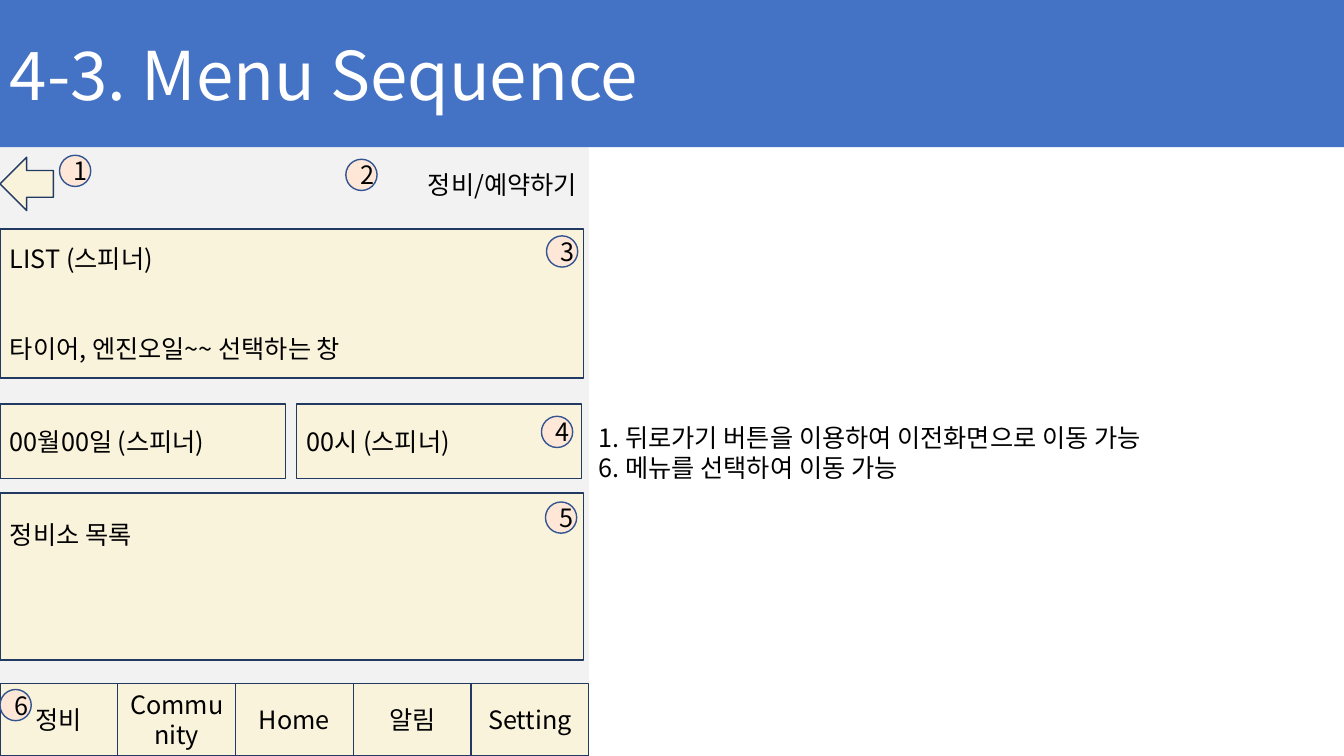
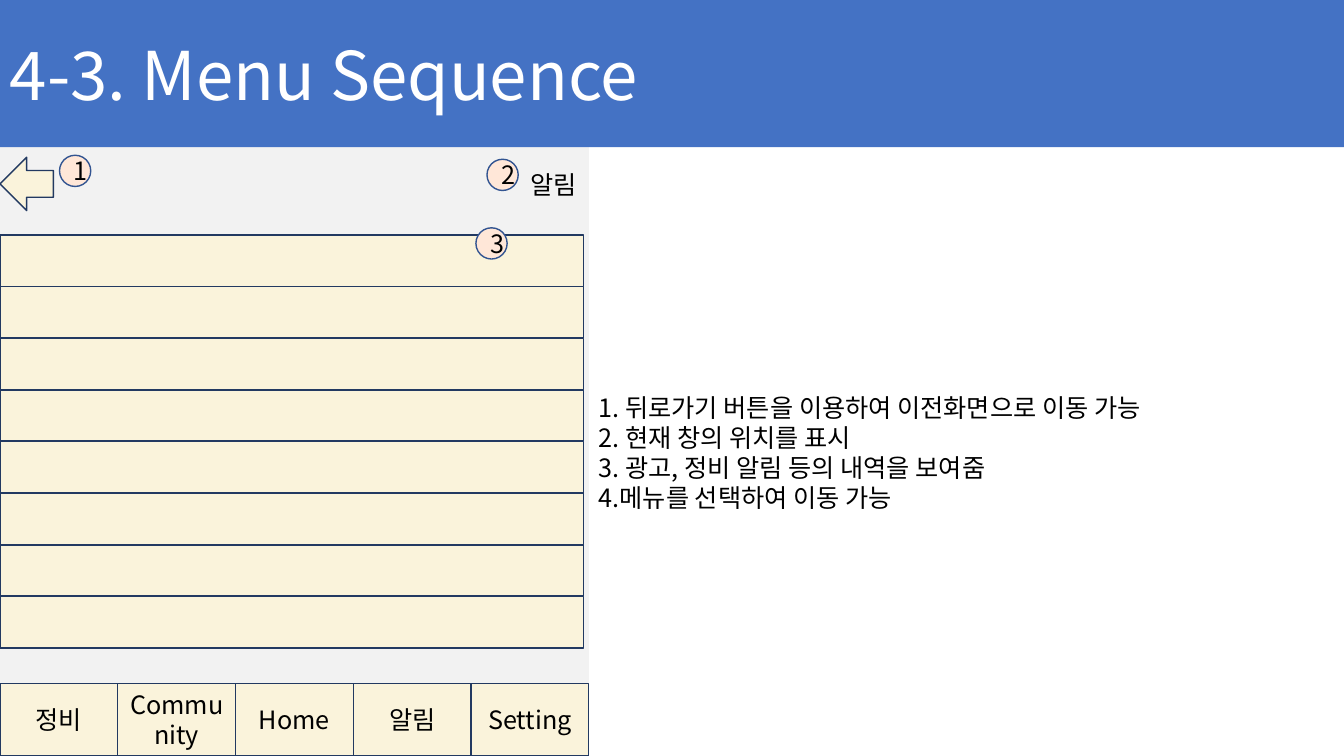
from lxml.etree import SubElement
from pptx import Presentation
from pptx.dml.color import RGBColor
from pptx.enum.shapes import MSO_SHAPE
from pptx.enum.text import MSO_ANCHOR, PP_ALIGN
from pptx.oxml.ns import qn
from pptx.util import Inches, Pt

COLORS = {
    "banner": "4472C4", "panel": "F2F2F2", "box": "FAF3DB", "outline": "223961",
    "badge": "FFE7D8", "badge_outline": "325491", "text": "000000", "title": "FFFFFF",
}
FONT = "Noto Sans CJK KR"
BODY = {"size": 18, "color": "text", "leading": 21.4}
TITLE_STYLE = {"size": 48, "color": "title", "leading": None}

WIDTH, HEIGHT = 13.33, 7.5
BANNER_HEIGHT = 1.46
PANEL_WIDTH = 5.84
LIST_WIDTH = 5.79
MENU_TOP = 6.78
BADGE_SIZE = 0.31

TITLE = "4-3. Menu Sequence"
MENU = ["정비", "Community", "Home", "알림", "Setting"]
BACK_NOTE = "1. 뒤로가기 버튼을 이용하여 이전화면으로 이동 가능"

ROW_COUNT, ROWS_TOP, ROW_HEIGHT = 8, 2.33, 0.51
ROW_PITCH = 4.1 / ROW_COUNT

# Boxes: (left, top, width, height), lines of text, format values
SCREENS = [
    {
        "heading": "정비/예약하기",
        "boxes": [
            ((0, 2.27, LIST_WIDTH, 1.48),
             ["LIST (스피너)", "타이어, 엔진오일~~ 선택하는 창"], {"gap": 43}),
            ((0, 4.01, 2.83, 0.74), ["00월00일 (스피너)"], {}),
            ((2.94, 4.01, 2.83, 0.74), ["00시 (스피너)"], {}),
            ((0, 4.89, LIST_WIDTH, 1.66), ["정비소 목록"],
             {"anchor": MSO_ANCHOR.TOP, "margin_top": 0.26}),
        ],
        "badges": [(0.59, 1.54), (3.43, 1.58), (5.42, 2.34),
                   (5.37, 4.13), (5.41, 4.98), (0, 6.84)],
        "notes": [BACK_NOTE, "6. 메뉴를 선택하여 이동 가능"],
    },
    {
        "heading": "알림",
        "boxes": [((0, ROWS_TOP + row * ROW_PITCH, LIST_WIDTH, ROW_HEIGHT), [], {})
                  for row in range(ROW_COUNT)],
        "badges": [(0.59, 1.54), (4.83, 1.58), (4.72, 2.26)],
        "notes": [BACK_NOTE, "2. 현재 창의 위치를 표시",
                  "3. 광고, 정비 알림 등의 내역을 보여줌", "4.메뉴를 선택하여 이동 가능"],
    },
]


def rgb(name):
    return RGBColor.from_string(COLORS[name])


def write(shape, lines, style=BODY, align=PP_ALIGN.LEFT, gap=0,
          anchor=MSO_ANCHOR.MIDDLE, margin_top=0.05):
    """Fill a shape with paragraphs; gap is the space in points between them."""
    frame = shape.text_frame
    frame.word_wrap = True
    frame.vertical_anchor = anchor
    frame.margin_top = Inches(margin_top)
    for index, line in enumerate(lines):
        paragraph = frame.add_paragraph() if index else frame.paragraphs[0]
        paragraph_format = {"alignment": align, "space_before": Pt(gap if index else 0)}
        if style["leading"]:
            paragraph_format["line_spacing"] = Pt(style["leading"])
        for name, value in paragraph_format.items():
            setattr(paragraph, name, value)
        run = paragraph.add_run()
        run.text = line
        run.font.name = FONT
        run.font.size = Pt(style["size"])
        run.font.color.rgb = rgb(style["color"])
        SubElement(run._r.get_or_add_rPr(), qn("a:ea"), typeface=FONT)


def add_box(slide, place, fill, outline=None, kind=MSO_SHAPE.RECTANGLE):
    shape = slide.shapes.add_shape(kind, *map(Inches, place))
    shape.shadow.inherit = False
    shape.fill.solid()
    shape.fill.fore_color.rgb = rgb(fill)
    if outline:
        shape.line.color.rgb = rgb(outline)
        shape.line.width = Pt(1)
    else:
        shape.line.fill.background()
    return shape


def add_text(slide, place, lines, **text_format):
    write(slide.shapes.add_textbox(*map(Inches, place)), lines, **text_format)


def add_frame(slide, heading):
    """Draw what every screen shares: panel, banner, menu, back arrow, heading."""
    add_box(slide, (0, BANNER_HEIGHT, PANEL_WIDTH, HEIGHT - BANNER_HEIGHT), "panel")
    banner = add_box(slide, (0, 0, WIDTH, BANNER_HEIGHT), "banner")
    write(banner, [TITLE], style=TITLE_STYLE)
    item_width = PANEL_WIDTH / len(MENU)
    for index, label in enumerate(MENU):
        place = (index * item_width, MENU_TOP, item_width, HEIGHT - MENU_TOP)
        write(add_box(slide, place, "box", "outline"), [label], align=PP_ALIGN.CENTER)
    add_box(slide, (0, 1.56, 0.53, 0.53), "box", "outline", MSO_SHAPE.LEFT_ARROW)
    add_text(slide, (1.38, 1.47, 4.44, 0.72), [heading], align=PP_ALIGN.RIGHT)


def add_screen(slide, screen):
    add_frame(slide, screen["heading"])
    for place, lines, text_format in screen["boxes"]:
        write(add_box(slide, place, "box", "outline"), lines, **text_format)
    for number, (left, top) in enumerate(screen["badges"], start=1):
        badge = add_box(slide, (left, top, BADGE_SIZE, BADGE_SIZE),
                        "badge", "badge_outline", MSO_SHAPE.OVAL)
        write(badge, [str(number)], align=PP_ALIGN.CENTER)
    add_text(slide, (PANEL_WIDTH, 1.48, WIDTH - PANEL_WIDTH, 6.02), screen["notes"])


def main():
    presentation = Presentation()
    presentation.slide_width = Inches(WIDTH)
    presentation.slide_height = Inches(HEIGHT)
    for screen in SCREENS:
        add_screen(presentation.slides.add_slide(presentation.slide_layouts[6]), screen)
    presentation.save("out.pptx")


if __name__ == "__main__":
    main()
